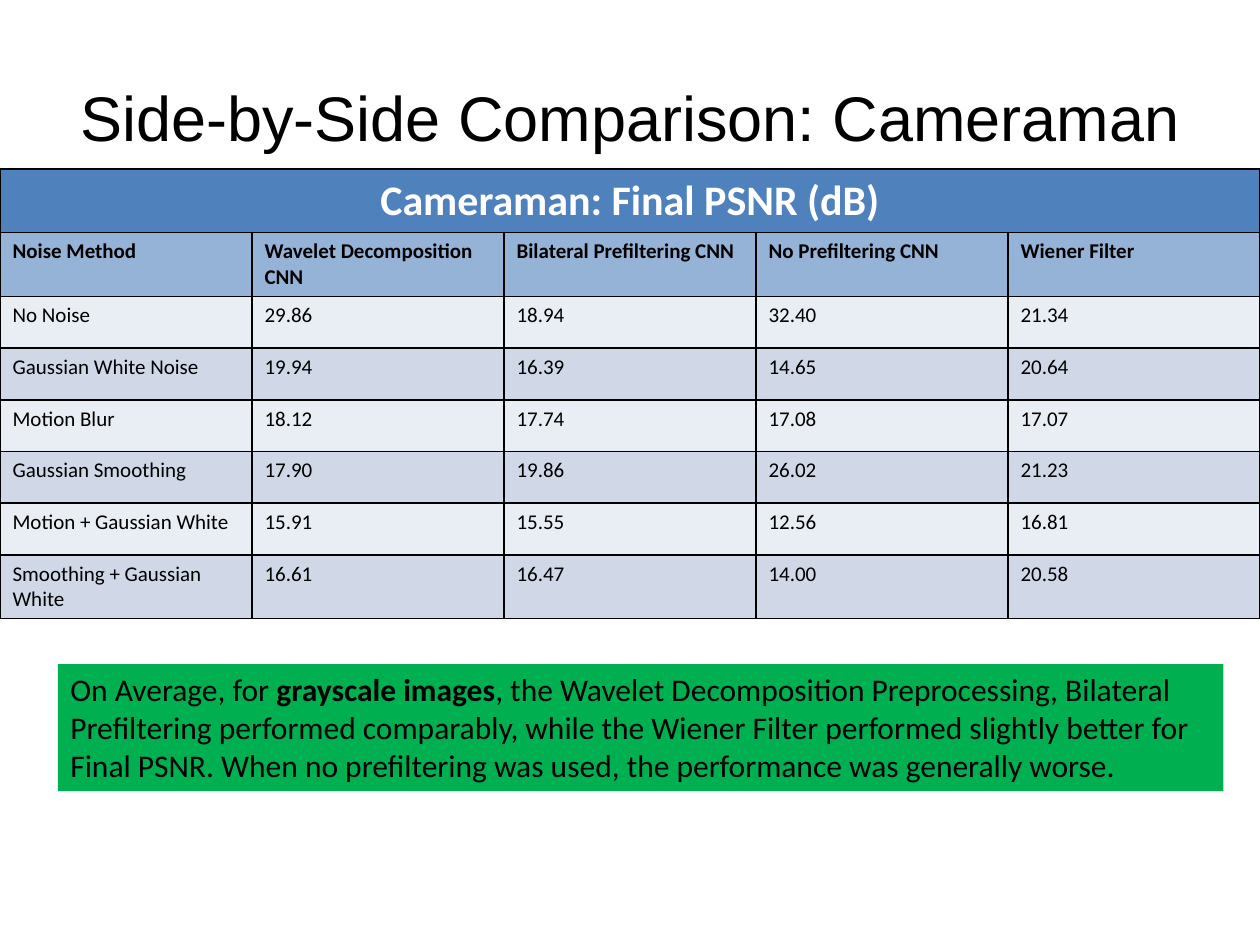
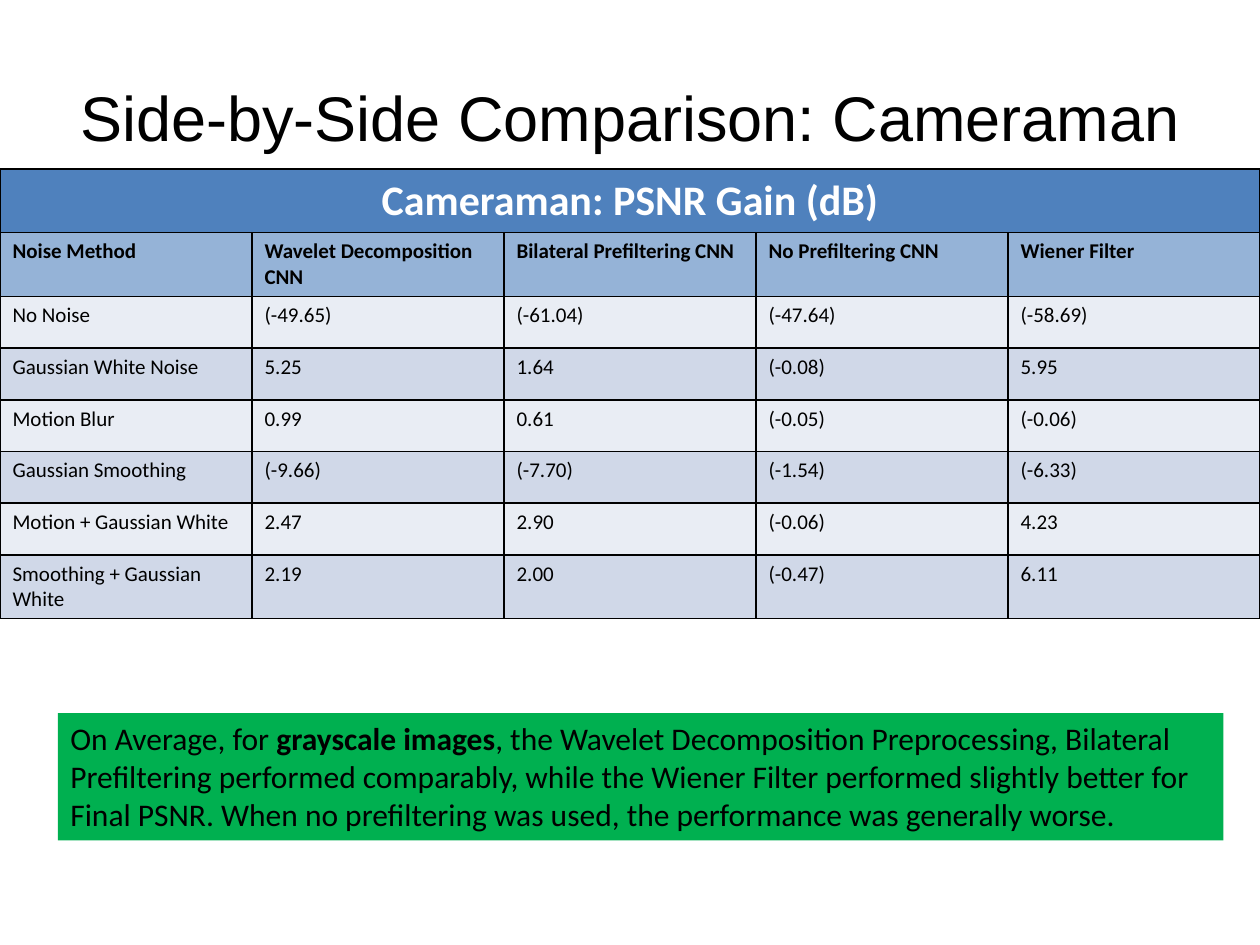
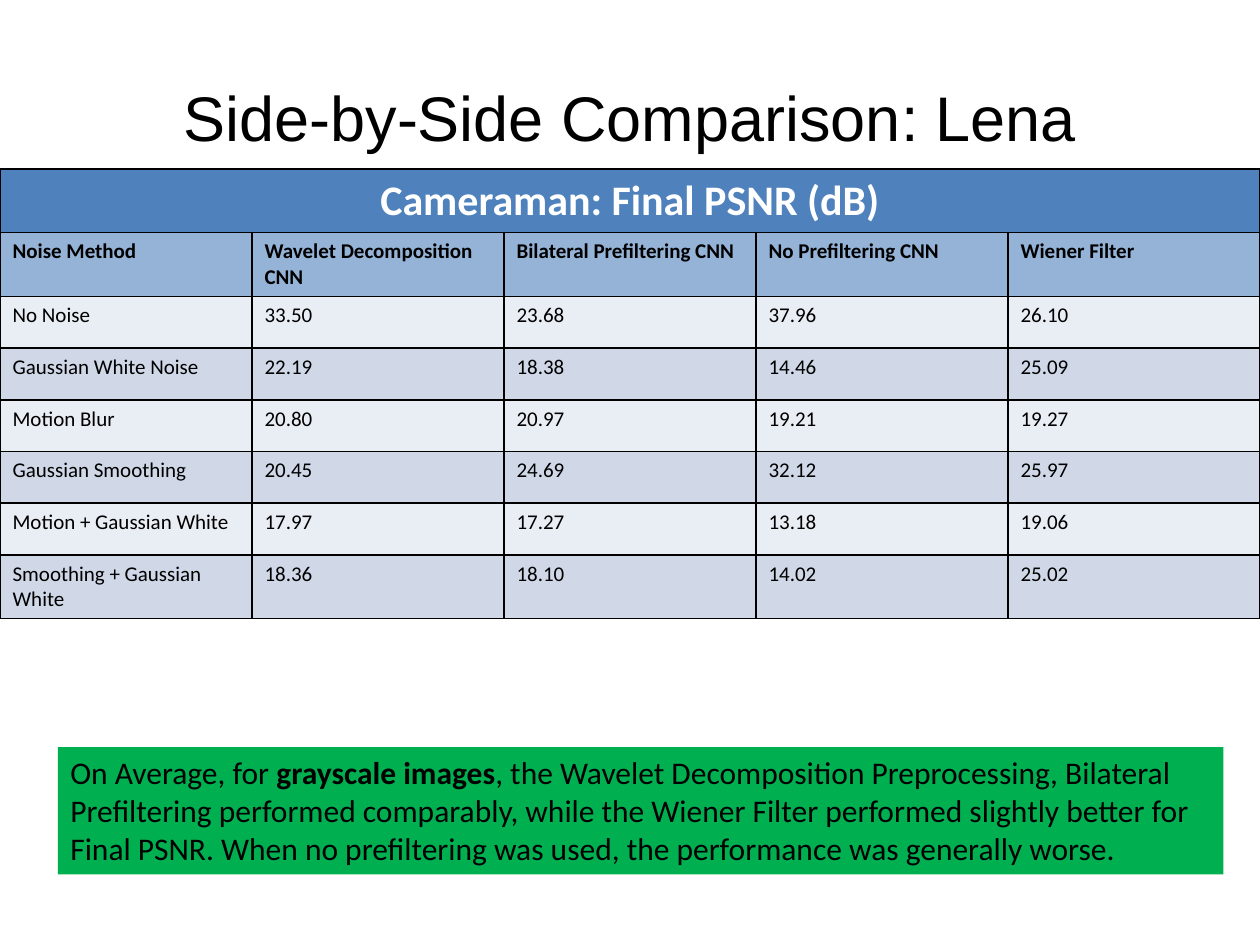
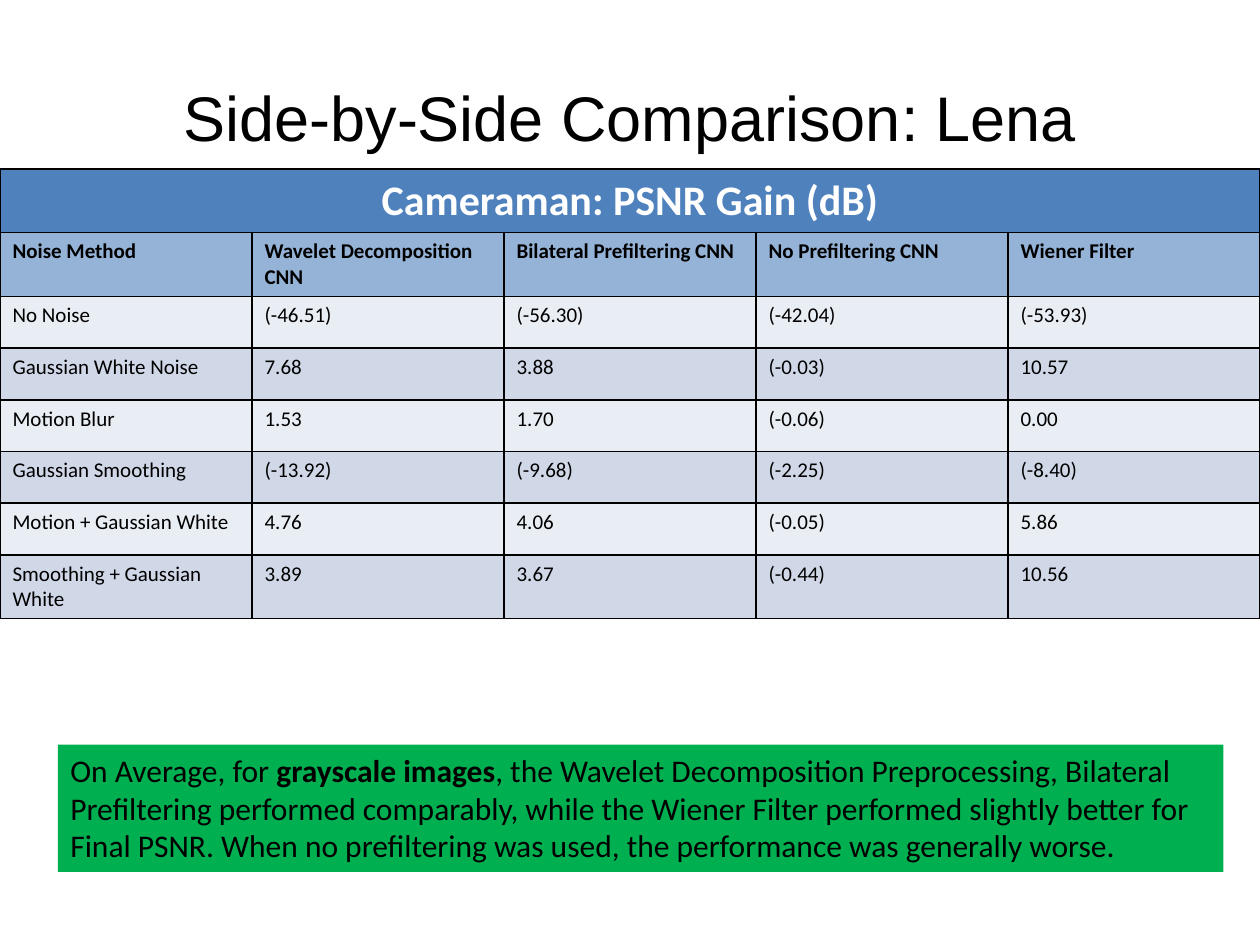
from dataclasses import dataclass

from lxml import etree
from pptx import Presentation
from pptx.dml.color import RGBColor
from pptx.enum import text as t
from pptx.oxml import ns
from pptx.util import Inches, Pt

BLACK = RGBColor(0x00, 0x00, 0x00)
WHITE = RGBColor(0xFF, 0xFF, 0xFF)
CAPTION_BLUE = RGBColor(0x4F, 0x81, 0xBD)
HEADING_BLUE = RGBColor(0x95, 0xB3, 0xD7)
BANDS = (RGBColor(0xE9, 0xED, 0xF4), RGBColor(0xD0, 0xD8, 0xE8))
FINDING_GREEN = RGBColor(0x00, 0xB0, 0x50)
TITLE_FONT = "Arial"
BODY_FONT = "Calibri"

SLIDE_WIDTH = Inches(10)
SLIDE_HEIGHT = Inches(7.5)
ROW_HEIGHT = Inches(0.41)
TITLE_ONLY = 5

HEADINGS = ("Noise Method", "Wavelet Decomposition CNN", "Bilateral Prefiltering CNN",
            "No Prefiltering CNN", "Wiener Filter")
NOISE_METHODS = ("No Noise", "Gaussian White Noise", "Motion Blur", "Gaussian Smoothing",
                 "Motion + Gaussian White", "Smoothing + Gaussian White")

# Each line of the finding is a list of (wording, bold) pieces.
FINDING = (
    (("On Average, for ", False), ("grayscale images", True),
     (", the Wavelet Decomposition Preprocessing, Bilateral", False)),
    (("Prefiltering performed comparably, while the Wiener Filter performed slightly better for",
      False),),
    (("Final PSNR. When no prefiltering was used, the performance was generally worse.", False),),
)


@dataclass(frozen=True)
class Comparison:
    subject: str
    measure: str
    finding_top: float
    results: tuple[str, ...]  # one entry per noise method, values in heading order


COMPARISONS = (
    Comparison("Cameraman", "Final PSNR", 5.27, (
        "29.86 18.94 32.40 21.34",
        "19.94 16.39 14.65 20.64",
        "18.12 17.74 17.08 17.07",
        "17.90 19.86 26.02 21.23",
        "15.91 15.55 12.56 16.81",
        "16.61 16.47 14.00 20.58")),
    Comparison("Cameraman", "PSNR Gain", 5.66, (
        "(-49.65) (-61.04) (-47.64) (-58.69)",
        "5.25 1.64 (-0.08) 5.95",
        "0.99 0.61 (-0.05) (-0.06)",
        "(-9.66) (-7.70) (-1.54) (-6.33)",
        "2.47 2.90 (-0.06) 4.23",
        "2.19 2.00 (-0.47) 6.11")),
    Comparison("Lena", "Final PSNR", 5.93, (
        "33.50 23.68 37.96 26.10",
        "22.19 18.38 14.46 25.09",
        "20.80 20.97 19.21 19.27",
        "20.45 24.69 32.12 25.97",
        "17.97 17.27 13.18 19.06",
        "18.36 18.10 14.02 25.02")),
    Comparison("Lena", "PSNR Gain", 5.91, (
        "(-46.51) (-56.30) (-42.04) (-53.93)",
        "7.68 3.88 (-0.03) 10.57",
        "1.53 1.70 (-0.06) 0.00",
        "(-13.92) (-9.68) (-2.25) (-8.40)",
        "4.76 4.06 (-0.05) 5.86",
        "3.89 3.67 (-0.44) 10.56")),
)


def style_font(font, size: float, color: RGBColor, bold: bool = False,
               name: str = BODY_FONT) -> None:
    font.name = name
    font.size = Pt(size)
    font.bold = bold
    font.color.rgb = color


def add_borders(cell) -> None:
    """Rule all four sides; must run before the fill is set."""
    properties = cell._tc.get_or_add_tcPr()
    for side in ("lnL", "lnR", "lnT", "lnB"):
        line = etree.SubElement(properties, ns.qn(f"a:{side}"), w=str(Pt(1)))
        fill = etree.SubElement(line, ns.qn("a:solidFill"))
        etree.SubElement(fill, ns.qn("a:srgbClr"), val=str(BLACK))


def fill_cell(cell, wording: str, fill: RGBColor, size: float = 12,
              color: RGBColor = BLACK, bold: bool = False) -> None:
    add_borders(cell)
    cell.fill.solid()
    cell.fill.fore_color.rgb = fill
    cell.text_frame.text = wording
    style_font(cell.text_frame.paragraphs[0].font, size, color, bold)
    for run in cell.text_frame.paragraphs[0].runs:
        style_font(run.font, size, color, bold)


def set_title(slide, wording: str) -> None:
    title = slide.shapes.title
    title.left, title.top = Inches(0), Inches(0.3)
    title.width, title.height = SLIDE_WIDTH, Inches(1.25)
    frame = title.text_frame
    frame.text = wording
    frame.vertical_anchor = t.MSO_ANCHOR.MIDDLE
    frame.paragraphs[0].alignment = t.PP_ALIGN.CENTER
    style_font(frame.paragraphs[0].runs[0].font, 36, BLACK, name=TITLE_FONT)


def add_results_table(slide, comparison: Comparison) -> None:
    row_count = len(NOISE_METHODS) + 2
    table = slide.shapes.add_table(row_count, len(HEADINGS), Inches(0), Inches(1.34),
                                   SLIDE_WIDTH, ROW_HEIGHT * row_count).table
    table.first_row = table.horz_banding = False
    for row in table.rows:
        row.height = ROW_HEIGHT

    caption = f"Cameraman: {comparison.measure} (dB)"
    for column in range(len(HEADINGS)):
        fill_cell(table.cell(0, column), "" if column else caption,
                  CAPTION_BLUE, 24, WHITE, True)
    table.cell(0, 0).merge(table.cell(0, len(HEADINGS) - 1))
    table.cell(0, 0).text_frame.paragraphs[0].alignment = t.PP_ALIGN.CENTER

    for column, heading in enumerate(HEADINGS):
        fill_cell(table.cell(1, column), heading, HEADING_BLUE, bold=True)
    for index, (method, values) in enumerate(zip(NOISE_METHODS, comparison.results)):
        for column, wording in enumerate((method, *values.split())):
            fill_cell(table.cell(index + 2, column), wording, BANDS[index % len(BANDS)])


def add_finding(slide, top: float) -> None:
    finding = slide.shapes.add_textbox(Inches(0.46), Inches(top), Inches(9.25), Inches(1.01))
    finding.fill.solid()
    finding.fill.fore_color.rgb = FINDING_GREEN
    frame = finding.text_frame
    frame.word_wrap = False
    frame.auto_size = t.MSO_AUTO_SIZE.SHAPE_TO_FIT_TEXT
    for index, pieces in enumerate(FINDING):
        line = frame.add_paragraph() if index else frame.paragraphs[0]
        for wording, bold in pieces:
            run = line.add_run()
            run.text = wording
            style_font(run.font, 18, BLACK, bold)


def main() -> None:
    deck = Presentation()
    deck.slide_width, deck.slide_height = SLIDE_WIDTH, SLIDE_HEIGHT
    for comparison in COMPARISONS:
        slide = deck.slides.add_slide(deck.slide_layouts[TITLE_ONLY])
        set_title(slide, f"Side-by-Side Comparison: {comparison.subject}")
        add_results_table(slide, comparison)
        add_finding(slide, comparison.finding_top)
    deck.save("out.pptx")


if __name__ == "__main__":
    main()
